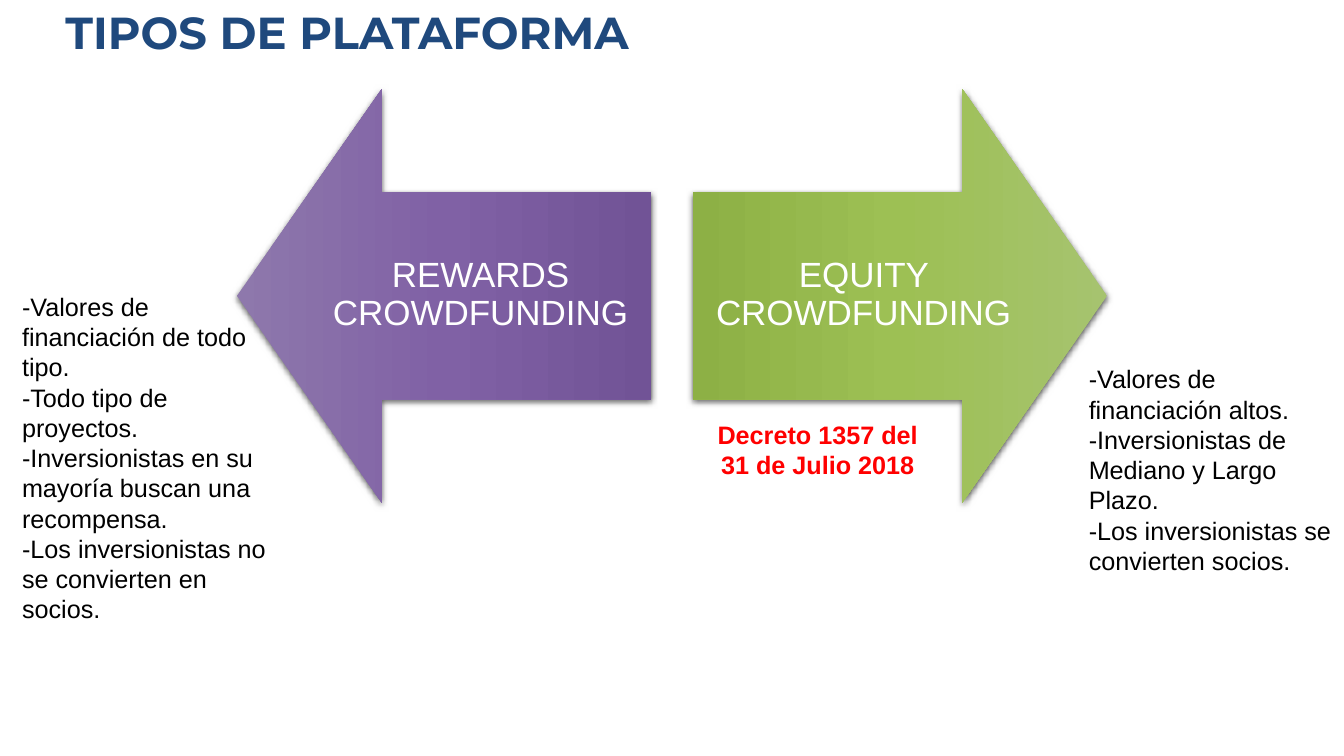
from dataclasses import dataclass

from lxml.etree import SubElement
from pptx import Presentation
from pptx.dml.color import RGBColor
from pptx.enum.shapes import MSO_SHAPE
from pptx.enum.text import MSO_ANCHOR, MSO_AUTO_SIZE, PP_ALIGN
from pptx.oxml.ns import qn
from pptx.util import Emu, Pt

PX = 9144  # EMU in one px, 100 px to the inch


@dataclass(frozen=True)
class Theme:
    title_font: str = "Montserrat"
    body_font: str = "Arial"
    title_size: int = 32
    label_size: int = 25
    body_size: int = 18
    title: str = "1F497D"
    label: str = "FFFFFF"
    body: str = "000000"
    decree: str = "FF0000"
    shadow: str = "000000"
    # Each gradient runs from the arrow's tip to its tail
    purple: tuple = ("8E78AC", "8061A5", "715396")
    green: tuple = ("A6C36F", "9DC054", "8DB045")


THEME = Theme()


def px(*lengths):
    return [Emu(length * PX) for length in lengths]


def add_text(slide, box, paragraphs, size, color, font=THEME.body_font,
             bold=False, align=PP_ALIGN.LEFT, grow=False):
    frame = slide.shapes.add_textbox(*px(*box)).text_frame
    frame.word_wrap = True
    frame.auto_size = MSO_AUTO_SIZE.SHAPE_TO_FIT_TEXT if grow else MSO_AUTO_SIZE.NONE
    for index, words in enumerate(paragraphs):
        paragraph = frame.add_paragraph() if index else frame.paragraphs[0]
        paragraph.alignment = align
        run = paragraph.add_run()
        run.text = words
        run.font.name = font
        run.font.size = Pt(size)
        run.font.bold = bold
        run.font.color.rgb = RGBColor.from_string(color)
    return frame


def fill_gradient(arrow, colors):
    arrow.fill.gradient()
    arrow.fill.gradient_angle = 270
    stops = arrow.fill._fill._gradFill.find(qn("a:gsLst"))
    for stop in list(stops):
        stops.remove(stop)
    for index, color in enumerate(colors):
        stop = SubElement(stops, qn("a:gs"), pos=str(index * 50000))
        SubElement(stop, qn("a:srgbClr"), val=color)


def add_shadow(arrow):
    arrow.shadow.inherit = False
    effects = arrow.element.spPr.find(qn("a:effectLst"))
    shadow = SubElement(effects, qn("a:outerShdw"), blurRad=str(Pt(4.5)),
                        dist=str(Pt(1.5)), dir="5400000", rotWithShape="0")
    color = SubElement(shadow, qn("a:srgbClr"), val=THEME.shadow)
    SubElement(color, qn("a:alpha"), val="63000")


def add_platform_arrow(slide, box, label, colors, points_left):
    left, top, side, _ = box
    arrow = slide.shapes.add_shape(MSO_SHAPE.UP_ARROW, *px(*box))
    arrow.rotation = 270 if points_left else 90
    arrow.adjustments[0] = 0.5
    arrow.adjustments[1] = 0.35
    fill_gradient(arrow, colors)
    arrow.line.fill.background()
    add_shadow(arrow)

    # Label over the shaft, reaching halfway into the head
    tip_gap = 72
    label_left = left + tip_gap if points_left else left
    label_box = (label_left, top + side // 4, side - tip_gap, side // 2)
    frame = add_text(slide, label_box, [label], THEME.label_size, THEME.label,
                     align=PP_ALIGN.CENTER)
    frame.vertical_anchor = MSO_ANCHOR.MIDDLE
    frame.margin_left, frame.margin_top, frame.margin_right, frame.margin_bottom = \
        px(19, 19, 19, 19)
    frame.paragraphs[0].line_spacing = 0.9


def add_features(slide, box, features):
    add_text(slide, box, [f"-{feature}" for feature in features],
             THEME.body_size, THEME.body, grow=True)


def main():
    presentation = Presentation()
    presentation.slide_width, presentation.slide_height = px(1333, 750)
    slide = presentation.slides.add_slide(presentation.slide_layouts[6])

    # Opposing arrows
    add_platform_arrow(slide, (235, 88, 411, 411), "REWARDS CROWDFUNDING",
                       THEME.purple, points_left=True)
    add_platform_arrow(slide, (687, 88, 411, 411), "EQUITY CROWDFUNDING",
                       THEME.green, points_left=False)

    # Features of each platform
    add_features(slide, (1070, 356, 281, 252), [
        "Valores de financiación altos.",
        "Inversionistas de Mediano y Largo Plazo.",
        "Los inversionistas se convierten socios.",
    ])
    add_features(slide, (12, 284, 281, 374), [
        "Valores de financiación de todo tipo.",
        "Todo tipo de proyectos.",
        "Inversionistas en su mayoría buscan una recompensa.",
        "Los inversionistas no se convierten en socios.",
    ])

    # Title
    add_text(slide, (55, 0, 1062, 125), ["TIPOS DE PLATAFORMA"],
             THEME.title_size, THEME.title, font=THEME.title_font, bold=True)

    # Decree below the equity arrow
    add_text(slide, (685, 411, 252, 71), ["Decreto 1357 del 31 de Julio 2018"],
             THEME.body_size, THEME.decree, bold=True, align=PP_ALIGN.CENTER, grow=True)

    presentation.save("out.pptx")


if __name__ == "__main__":
    main()
